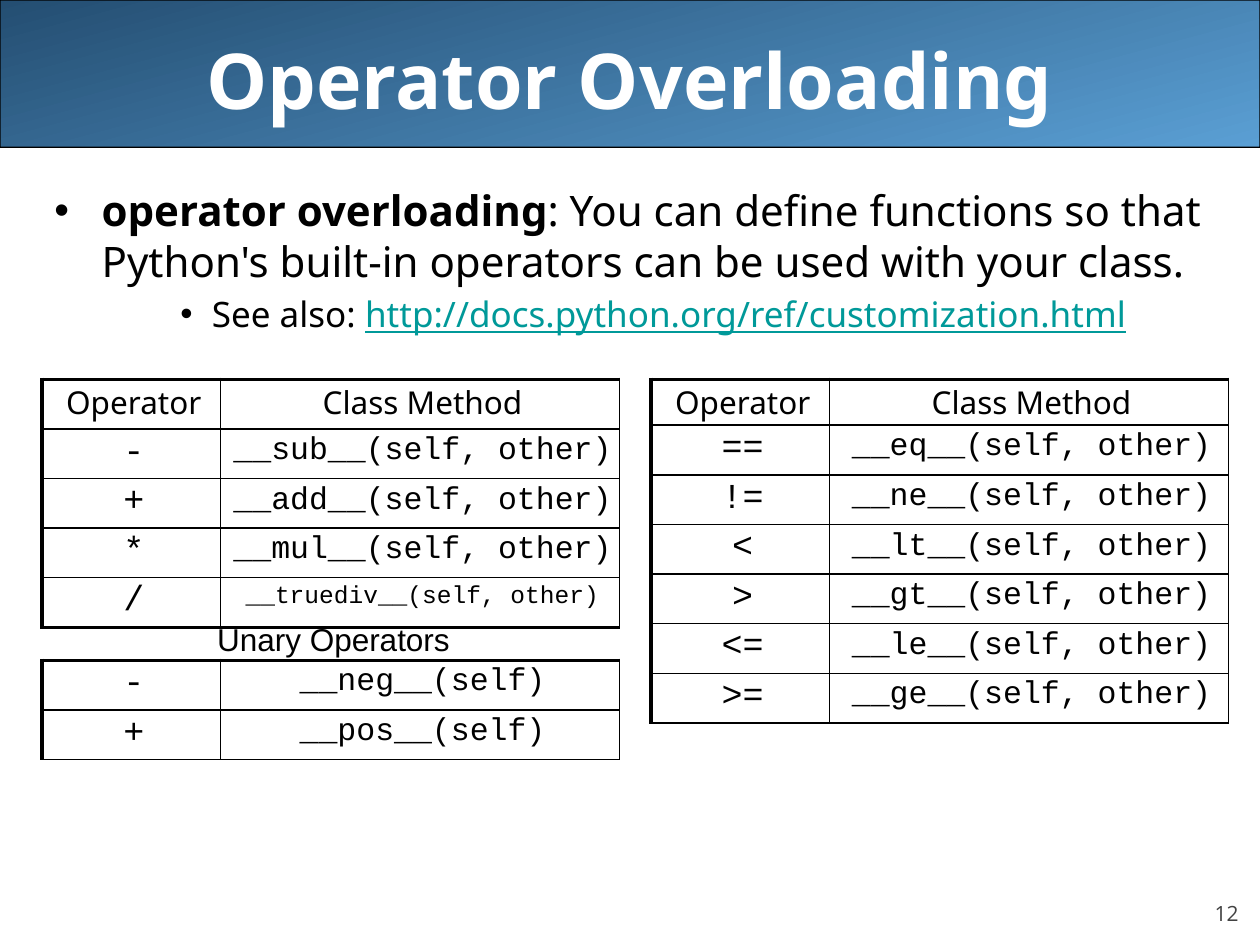
from dataclasses import dataclass

from lxml.etree import SubElement
from pptx import Presentation
from pptx.dml.color import RGBColor
from pptx.enum.shapes import MSO_SHAPE
from pptx.enum.text import MSO_ANCHOR, PP_ALIGN
from pptx.oxml.ns import qn
from pptx.slide import Slide
from pptx.table import _Cell
from pptx.text.text import Font, TextFrame, _Paragraph
from pptx.util import Pt

COLORS = {
    "black": "000000",
    "white": "FFFFFF",
    "banner_dark": "244E72",
    "banner_light": "5A9FD4",
    "link": "009999",
    "number": "424242",
}
SANS, MONO = "Noto Sans", "Courier New"
COLUMN_WIDTHS = (102, 228)
ROW_HEIGHT = 28.35
THIN, THICK = 1, 2.25
LEFT_TABLES, RIGHT_TABLE, TABLES_TOP = 24, 372, 216.7


@dataclass
class OperatorTable:
    """A table that pairs operators with the methods behind them."""

    left: float
    top: float
    rows: list[tuple[str, str]]
    header_height: float = 0
    bottom_border: float = THIN
    filled: bool = False


@dataclass
class Bullet:
    """A bulleted paragraph made of a lead run and a rest run."""

    lead: str
    rest: str
    size: float
    margin: float
    hanging: float
    level: int = 0
    lead_bold: bool = False
    rest_link: bool = False


def color(name: str) -> RGBColor:
    """Look up a named colour."""
    return RGBColor.from_string(COLORS[name])


def set_font(font: Font, name: str, size: float, color_name: str = "black") -> None:
    """Set typeface, size and colour."""
    font.name, font.size = name, Pt(size)
    font.color.rgb = color(color_name)


def add_text_frame(slide: Slide, left: float, top: float, width: float,
                   height: float, wrap: bool = True) -> TextFrame:
    """Add a text box and return its text frame."""
    box = slide.shapes.add_textbox(Pt(left), Pt(top), Pt(width), Pt(height))
    box.text_frame.word_wrap = wrap
    return box.text_frame


def add_banner(slide: Slide) -> None:
    """Draw the gradient band behind the title."""
    banner = slide.shapes.add_shape(MSO_SHAPE.ROUNDED_RECTANGLE, 0, 0, Pt(720), Pt(84.2))
    banner.adjustments[0] = 0.001
    banner.shadow.inherit = False
    banner.fill.gradient()
    banner.fill.gradient_angle = 285
    for stop, position, name in zip(banner.fill.gradient_stops, (0, 1),
                                    ("banner_dark", "banner_light")):
        stop.position, stop.color.rgb = position, color(name)
    banner.line.color.rgb, banner.line.width = color("black"), Pt(0.74)
    slide.shapes.element.insert(2, banner.element)


def set_title(slide: Slide, text: str) -> None:
    """Place and format the title placeholder."""
    title = slide.shapes.title
    title.left, title.top, title.width, title.height = Pt(36), Pt(0), Pt(648), Pt(90)
    frame = title.text_frame
    frame.text, frame.vertical_anchor = text, MSO_ANCHOR.MIDDLE
    paragraph = frame.paragraphs[0]
    paragraph.alignment = PP_ALIGN.CENTER
    set_font(paragraph.font, SANS, 44, "white")
    paragraph.font.bold = True


def fill_bullet(paragraph: _Paragraph, bullet: Bullet) -> None:
    """Write one bulleted paragraph."""
    paragraph.level = bullet.level
    paragraph.space_before = Pt(bullet.size * 0.2)
    properties = paragraph._p.get_or_add_pPr()
    properties.set("marL", str(Pt(bullet.margin)))
    properties.set("indent", str(-Pt(bullet.hanging)))
    SubElement(properties, qn("a:buFont"), typeface="Arial")
    SubElement(properties, qn("a:buChar"), char="•")
    set_font(paragraph.font, SANS, bullet.size)
    lead, rest = paragraph.add_run(), paragraph.add_run()
    lead.text, rest.text = bullet.lead, bullet.rest
    if bullet.lead_bold:
        lead.font.bold = True
    if bullet.rest_link:
        rest.font.underline = True
        rest.font.color.rgb = color("link")


def set_border(cell: _Cell, side: str, width: float) -> None:
    """Draw one black border of a cell; side is L, R, T or B."""
    line = SubElement(cell._tc.get_or_add_tcPr(), qn(f"a:ln{side}"), w=str(Pt(width)))
    fill = SubElement(line, qn("a:solidFill"))
    SubElement(fill, qn("a:srgbClr"), val=COLORS["black"])


def fill_cell(cell: _Cell, text: str, font_name: str, size: float) -> None:
    """Write centred, tightly spaced text into a cell."""
    cell.margin_left = cell.margin_right = Pt(4.5)
    cell.margin_top = cell.margin_bottom = Pt(4.5)
    cell.text = text
    paragraph = cell.text_frame.paragraphs[0]
    paragraph.alignment, paragraph.line_spacing = PP_ALIGN.CENTER, 0.8
    paragraph._p.get_or_add_pPr().set("marL", str(Pt(2.9)))
    set_font(paragraph.font, font_name, size)


def add_operator_table(slide: Slide, spec_table: OperatorTable) -> None:
    """Add a table, with a header row if it has a header height."""
    has_header = spec_table.header_height > 0
    rows = [("Operator", "Class Method")] * has_header + spec_table.rows
    heights = [spec_table.header_height] * has_header + [ROW_HEIGHT] * len(spec_table.rows)
    table = slide.shapes.add_table(
        len(rows), 2, Pt(spec_table.left), Pt(spec_table.top),
        Pt(sum(COLUMN_WIDTHS)), Pt(sum(heights))).table
    table.first_row = table.horz_banding = False
    for column, width in zip(table.columns, COLUMN_WIDTHS):
        column.width = Pt(width)
    last = len(rows) - 1
    for row_index, (texts, height) in enumerate(zip(rows, heights)):
        table.rows[row_index].height = Pt(height)
        is_header = has_header and row_index == 0
        for column_index, text in enumerate(texts):
            cell = table.cell(row_index, column_index)
            if is_header:
                fill_cell(cell, text, SANS, 18)
            elif column_index == 0:
                fill_cell(cell, text, MONO, 20)
            else:
                fill_cell(cell, text, MONO, 14 if len(text) > 20 else 18)
            set_border(cell, "L", THICK if column_index == 0 else THIN)
            set_border(cell, "R", THIN)
            set_border(cell, "T", THICK if row_index == 0 else THIN)
            set_border(cell, "B", spec_table.bottom_border if row_index == last else THIN)
            if spec_table.filled:
                cell.fill.solid()
                cell.fill.fore_color.rgb = color("white")
            else:
                cell.fill.background()


def methods(arguments: str, **names: str) -> list[tuple[str, str]]:
    """Pair each operator with its special method signature."""
    return [(operator, f"__{name}__({arguments})") for name, operator in names.items()]


presentation = Presentation()
presentation.slide_width, presentation.slide_height = Pt(720), Pt(540)
slide = presentation.slides.add_slide(presentation.slide_layouts[5])
add_banner(slide)
set_title(slide, "Operator Overloading")

number = add_text_frame(slide, 648, 500.4, 59.8, 28.8)
number.margin_left = number.margin_right = number.margin_top = number.margin_bottom = 0
number.vertical_anchor = MSO_ANCHOR.BOTTOM
number.text = "12"
number.paragraphs[0].alignment = PP_ALIGN.RIGHT
set_font(number.paragraphs[0].font, "Open Sans", 12, "number")

body = add_text_frame(slide, 24, 102, 684, 390)
bullets = [
    Bullet("operator overloading", ": You can define functions so that Python's built-in "
           "operators can be used with your class.", 24, 27, 27, lead_bold=True),
    Bullet("See also: ", "http://docs.python.org/ref/customization.html",
           20, 90, 18, level=2, rest_link=True),
]
for index, bullet in enumerate(bullets):
    fill_bullet(body.add_paragraph() if index else body.paragraphs[0], bullet)

add_operator_table(slide, OperatorTable(
    LEFT_TABLES, TABLES_TOP, methods("self, other", sub="-", add="+", mul="*", truediv="/"),
    header_height=28.35, bottom_border=THICK))

unary_label = add_text_frame(slide, 116.6, 350.6, 147.6, 28.8, wrap=False)
unary_label.text = "Unary Operators"
unary_label.paragraphs[0].alignment = PP_ALIGN.RIGHT
set_font(unary_label.paragraphs[0].font, "Arial", 18)

add_operator_table(slide, OperatorTable(
    LEFT_TABLES, 377.3, methods("self", neg="-", pos="+"), filled=True))
add_operator_table(slide, OperatorTable(
    RIGHT_TABLE, TABLES_TOP,
    methods("self, other", eq="==", ne="!=", lt="<", gt=">", le="<=", ge=">="),
    header_height=26.2))

presentation.save("out.pptx")
